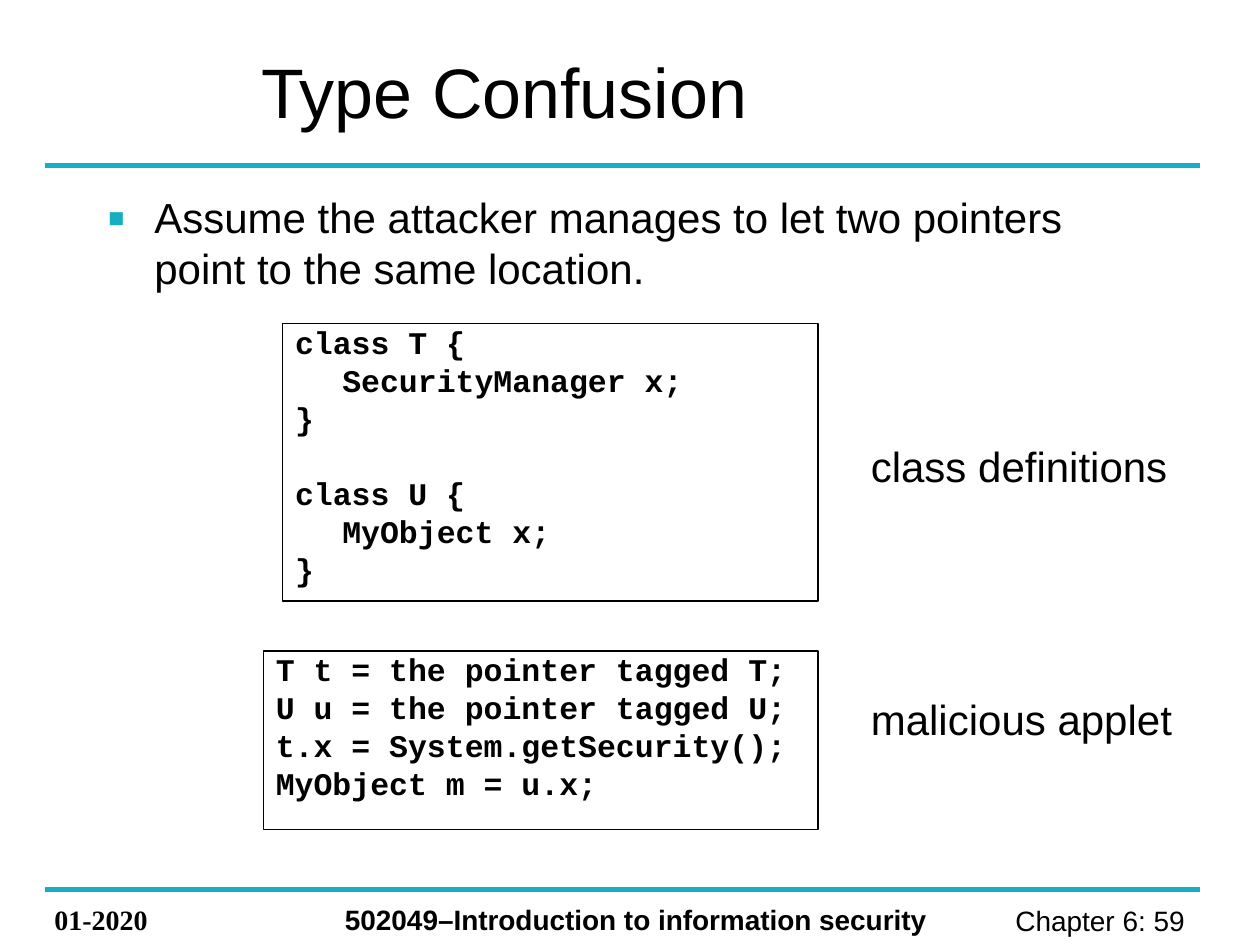
"""Build the Type Confusion slide."""
from lxml.etree import SubElement
from pptx import Presentation
from pptx.dml.color import RGBColor
from pptx.enum.shapes import MSO_CONNECTOR, MSO_SHAPE
from pptx.enum.text import MSO_ANCHOR, PP_ALIGN
from pptx.oxml.ns import qn
from pptx.util import Pt

BLACK, TEAL = "000000", "16AFC2"


def color(code):
    return RGBColor.from_string(code)


def style(para, size, face="Arial", bold=False, align=PP_ALIGN.LEFT):
    para.alignment = align
    for run in para.runs:
        run.font.size = Pt(size)
        run.font.name = face
        run.font.bold = bold
        run.font.color.rgb = color(BLACK)


deck = Presentation()
deck.slide_width, deck.slide_height = Pt(720), Pt(540)
slide = deck.slides.add_slide(deck.slide_layouts[1])
shapes = slide.shapes

title, body = slide.placeholders
places = [
    (title, (142, 20, 578, 63), "Type Confusion", 40, MSO_ANCHOR.MIDDLE),
    (body, (54, 106, 612, 81),
     "Assume the attacker manages to let two pointers point to the same location.",
     24, MSO_ANCHOR.TOP),
]
for holder, box, text, size, anchor in places:
    holder.left, holder.top, holder.width, holder.height = map(Pt, box)
    frame = holder.text_frame
    frame.text = text
    frame.vertical_anchor = anchor
    style(frame.paragraphs[0], size)

point = body.text_frame.paragraphs[0]
point.space_before = Pt(4.8)
props = point._p.get_or_add_pPr()
props.set("marL", str(Pt(27)))
props.set("indent", str(-Pt(27)))
tint = SubElement(props, qn("a:buClr"))
SubElement(tint, qn("a:srgbClr"), val=TEAL)
SubElement(props, qn("a:buSzPct"), val="125000")
SubElement(props, qn("a:buFont"), typeface="Arial")
SubElement(props, qn("a:buChar"), char="▪")

for y in (94.5, 508.5):
    rule = shapes.add_connector(MSO_CONNECTOR.STRAIGHT, Pt(25.5), Pt(y), Pt(685.5), Pt(y))
    rule.line.color.rgb = color(TEAL)
    rule.line.width = Pt(3)
    SubElement(rule._element.spPr, qn("a:effectLst"))

codes = [
    ((161.5, 185, 306, 158.5),
     [("class T {", 0, 4.5), ("SecurityManager x;", 27, 4.5), ("}", 0, 4.5),
      ("class U {", 0, 25.4), ("MyObject x;", 27, 4.5), ("}", 0, 4.5)]),
    ((150.5, 372, 317, 102),
     [("T t = the pointer tagged T;", 0, 4.5), ("U u = the pointer tagged U;", 0, 4.5),
      ("t.x = System.getSecurity();", 0, 4.5), ("MyObject m = u.x;", 0, 4.5)]),
]
for box, lines in codes:
    panel = shapes.add_shape(MSO_SHAPE.RECTANGLE, *map(Pt, box))
    panel.shadow.inherit = False
    panel.fill.background()
    panel.line.color.rgb = color(BLACK)
    panel.line.width = Pt(0.75)
    frame = panel.text_frame
    frame.vertical_anchor = MSO_ANCHOR.TOP
    frame.text = "\n".join(text for text, indent, gap in lines)
    for para, (text, indent, gap) in zip(frame.paragraphs, lines):
        style(para, 18, "Courier New", True)
        para.line_spacing = 0.8
        para.space_before = Pt(gap)
        para._p.get_or_add_pPr().set("marL", str(Pt(indent)))

labels = [
    ((490.5, 248, 184.5, 36), "class definitions", 24, "Arial", False, PP_ALIGN.LEFT),
    ((490.5, 392.5, 187, 36), "malicious applet", 24, "Arial", False, PP_ALIGN.LEFT),
    ((24, 512, 96, 26.5), "01-2020", 16, "Times New Roman", True, PP_ALIGN.LEFT),
    ((190, 512, 363, 26.5), "502049–Introduction to information security",
     16, "Arial", True, PP_ALIGN.LEFT),
    ((530, 512.5, 158.5, 26.5), "Chapter 6: 59 ", 16, "Arial", False, PP_ALIGN.RIGHT),
]
for box, text, size, face, bold, align in labels:
    label = shapes.add_textbox(*map(Pt, box))
    frame = label.text_frame
    frame.word_wrap = size == 16
    frame.text = text
    style(frame.paragraphs[0], size, face, bold, align)

deck.save("out.pptx")
